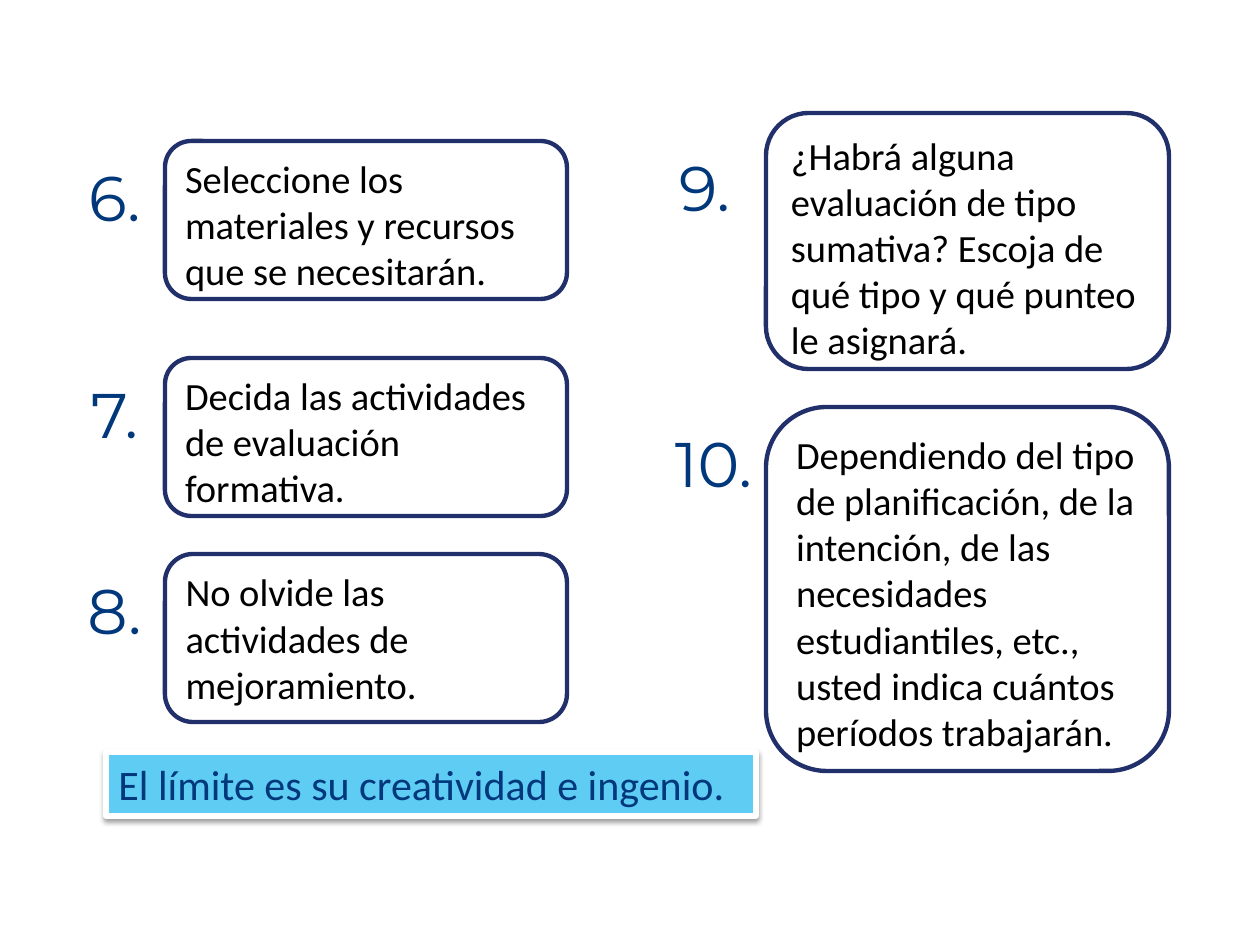
"""Build a slide of numbered planning steps with a closing banner."""
from lxml import etree
from pptx import Presentation
from pptx import util as u
from pptx.dml.color import RGBColor
from pptx.enum import shapes, text
from pptx.oxml.ns import qn

BLUE = RGBColor(0x00, 0x38, 0x7B)
NAVY = RGBColor(0x21, 0x30, 0x6A)
SKY = RGBColor(0x5E, 0xCC, 0xF3)
WHITE = RGBColor(0xFF, 0xFF, 0xFF)
BLACK = RGBColor(0x00, 0x00, 0x00)
PX = u.Inches(1) / 126

LEFT, RIGHT = 165, 766
STEPS = [
    ("6.", "Seleccione los materiales y recursos que se necesitarán.", (LEFT, 141, 402, 158), (65, 152)),
    ("7.", "Decida las actividades de evaluación formativa.", (LEFT, 358, 402, 158), (65, 369)),
    ("8.", "No olvide las actividades de mejoramiento.", (LEFT, 554, 402, 168), (65, 565)),
    ("9.", "¿Habrá alguna evaluación de tipo sumativa? Escoja de qué tipo y qué punteo le asignará.",
     (RIGHT, 113, 403, 256), (655, 142)),
    ("10.", "Dependiendo del tipo de planificación, de la intención, de las necesidades estudiantiles, etc., "
     "usted indica cuántos períodos trabajarán.", (RIGHT, 407, 403, 364), (664, 418)),
]


def px(*lengths):
    return [u.Emu(round(length * PX)) for length in lengths]


def write(shape, words, *, size, color, font="Calibri", align=text.PP_ALIGN.LEFT, wrap=True, after=0):
    frame = shape.text_frame
    frame.word_wrap = wrap
    frame.vertical_anchor = text.MSO_ANCHOR.TOP
    para = frame.paragraphs[0]
    para.alignment = align
    para.space_after = u.Pt(after)
    span = para.add_run()
    span.text = words
    span.font.name = font
    span.font.size = u.Pt(size)
    span.font.color.rgb = color


class Board:
    """Holds the deck style and the current slide."""

    def __init__(self, deck):
        self.slide = deck.slides.add_slide(deck.slide_layouts[6])

    def panel(self, kind, place, fill, line, width):
        shape = self.slide.shapes.add_shape(kind, *px(*place))
        shape.shadow.inherit = False
        shape.fill.solid()
        shape.fill.fore_color.rgb = fill
        shape.line.color.rgb = line
        shape.line.width = u.Pt(width)
        return shape

    def card(self, words, place):
        shape = self.panel(shapes.MSO_SHAPE.ROUNDED_RECTANGLE, place, WHITE, NAVY, 2.5)
        shape.adjustments[0] = 0.167
        write(shape, words, size=22, color=BLACK, after=10)

    def number(self, words, left, top):
        box = self.slide.shapes.add_textbox(*px(left, top, 99, 144))
        box.text_frame.margin_left = box.text_frame.margin_right = 0
        write(box, words, size=36, color=BLUE, font="Montserrat", align=text.PP_ALIGN.CENTER, wrap=False)

    def banner(self, words, place):
        shape = self.panel(shapes.MSO_SHAPE.RECTANGLE, place, SKY, WHITE, 3)
        effects = shape._element.spPr.find(qn("a:effectLst"))
        shadow = etree.SubElement(effects, qn("a:outerShdw"), blurRad=str(u.Pt(3.1)), dist=str(u.Pt(1.6)),
                                  dir="5400000", rotWithShape="0")
        tint = etree.SubElement(shadow, qn("a:srgbClr"), val=str(BLACK))
        etree.SubElement(tint, qn("a:alpha"), val="38000")
        write(shape, words, size=24, color=BLUE)
        shape.text_frame.auto_size = text.MSO_AUTO_SIZE.SHAPE_TO_FIT_TEXT


def main():
    deck = Presentation()
    deck.slide_width, deck.slide_height = px(1260, 945)
    board = Board(deck)
    board.banner("El límite es su creatividad e ingenio.", (106, 752, 650, 64))
    for label, words, place, spot in STEPS:
        board.card(words, place)
        board.number(label, *spot)
    deck.save("out.pptx")


if __name__ == "__main__":
    main()
